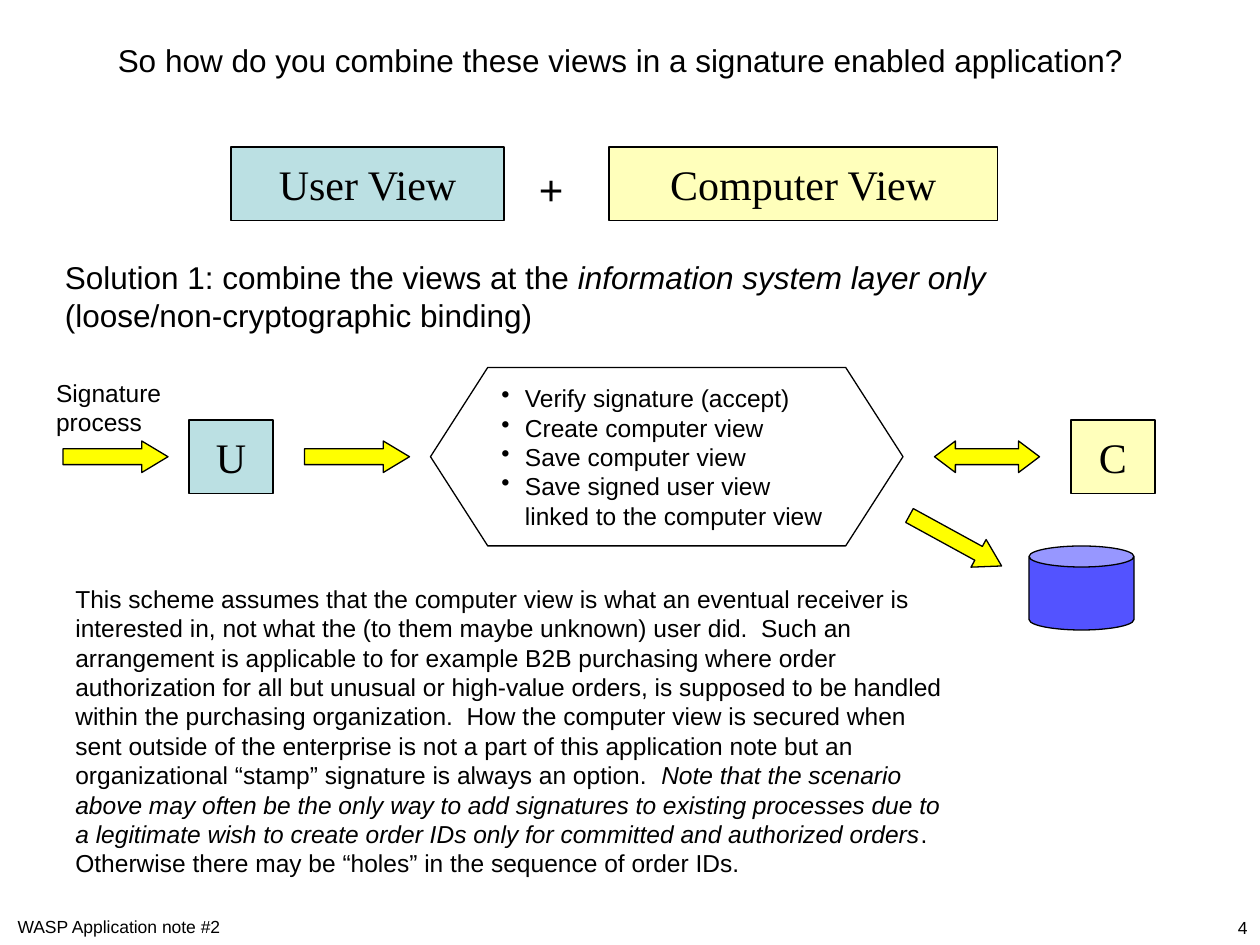
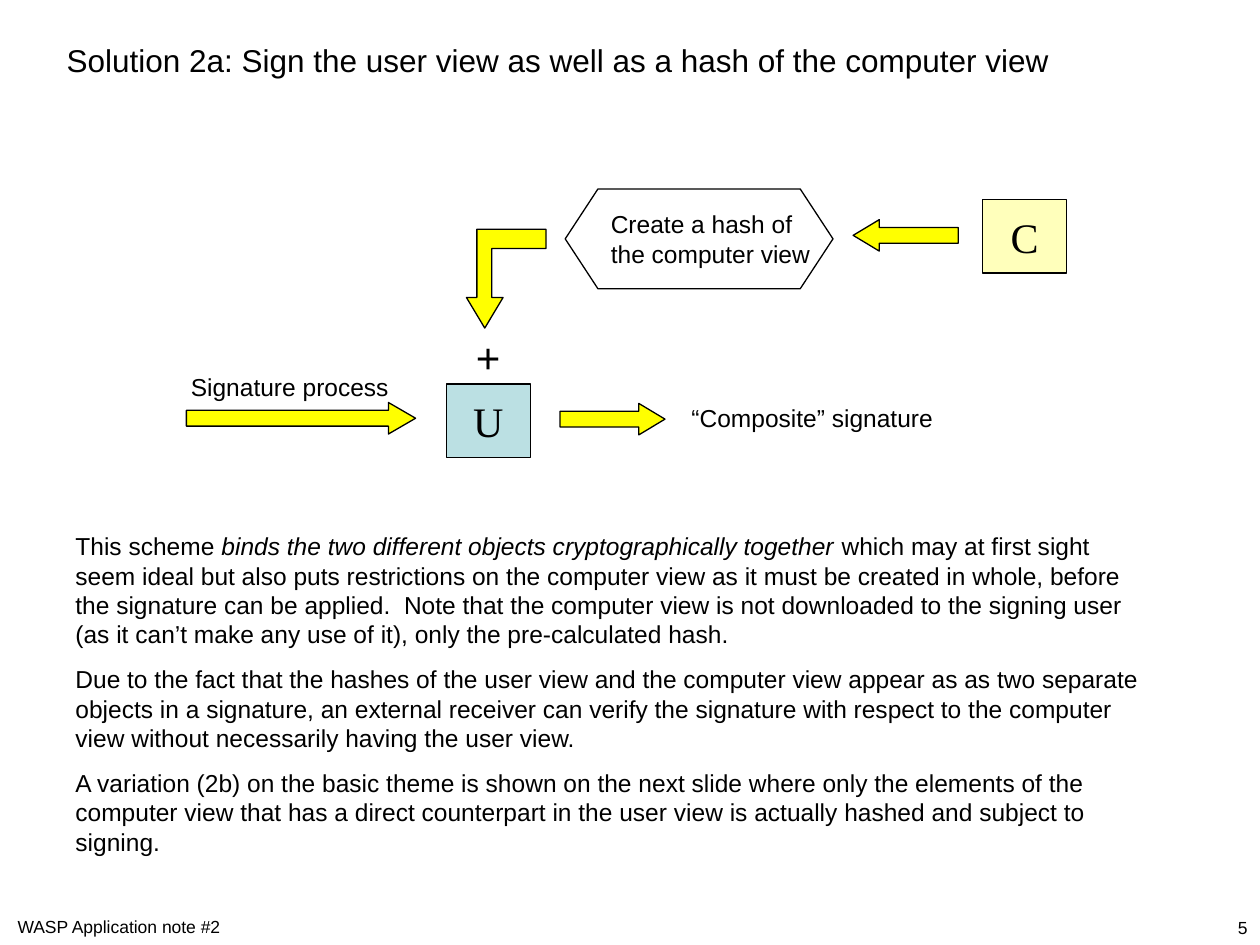
"""Build two slides on combining user and computer views in signatures."""
from dataclasses import dataclass

from lxml import etree
from pptx import Presentation
from pptx.dml.color import RGBColor
from pptx.enum.shapes import MSO_SHAPE
from pptx.enum.text import MSO_ANCHOR, MSO_AUTO_SIZE, PP_ALIGN
from pptx.oxml.ns import qn
from pptx.util import Pt

LEFT, CENTER, RIGHT = PP_ALIGN.LEFT, PP_ALIGN.CENTER, PP_ALIGN.RIGHT
MIDDLE = MSO_ANCHOR.MIDDLE
GROW, FIXED = MSO_AUTO_SIZE.SHAPE_TO_FIT_TEXT, MSO_AUTO_SIZE.NONE
RECTANGLE, HEXAGON, CAN = MSO_SHAPE.RECTANGLE, MSO_SHAPE.HEXAGON, MSO_SHAPE.CAN
RIGHT_ARROW, LEFT_ARROW = MSO_SHAPE.RIGHT_ARROW, MSO_SHAPE.LEFT_ARROW
TWO_WAY_ARROW = MSO_SHAPE.LEFT_RIGHT_ARROW
BLANK_LAYOUT = 6
FOOTER = "WASP Application note #2"


@dataclass(frozen=True)
class Theme:
    """Hold the colours, fonts and type sizes of the deck."""

    ink: RGBColor = RGBColor.from_string("000000")
    user: RGBColor = RGBColor.from_string("BBE0E3")
    computer: RGBColor = RGBColor.from_string("FFFFBB")
    arrow: RGBColor = RGBColor.from_string("FFFF00")
    storage: RGBColor = RGBColor.from_string("5353FF")
    sans: str = "Arial"
    serif: str = "Times New Roman"
    footer: int = 10
    body: int = 14
    title: int = 18
    view: int = 24
    outline: float = 0.75


THEME = Theme()


def apply_format(target, values):
    """Set each named attribute of the target."""
    for name, value in values.items():
        setattr(target, name, value)


def write_text(frame, texts, size, align=LEFT, font=THEME.sans, space=0):
    """Fill a frame with paragraphs; asterisks enclose italic runs."""
    for index, text in enumerate(texts):
        paragraph = frame.add_paragraph() if index else frame.paragraphs[0]
        apply_format(paragraph, {"alignment": align, "space_before": Pt(space)})
        for part_index, part in enumerate(text.split("*")):
            for line_index, line in enumerate(part.split("\n")):
                if line_index:
                    paragraph.add_line_break()
                run = paragraph.add_run()
                apply_format(run.font, {"name": font, "size": Pt(size),
                                        "italic": part_index % 2 == 1})
                run.font.color.rgb = THEME.ink
                run.text = line


def add_text(slide, box, *texts, size=THEME.body, align=LEFT):
    """Add a wrapping text box with spacing in proportion to its type."""
    frame = slide.shapes.add_textbox(*map(Pt, box)).text_frame
    apply_format(frame, {"word_wrap": True, "auto_size": GROW})
    write_text(frame, texts, size, align, space=round(size * 0.625, 1))


def style_shape(shape, fill=None):
    """Give a shape its fill and thin outline, without a shadow."""
    shape.shadow.inherit = False
    if fill is None:
        shape.fill.background()
    else:
        shape.fill.solid()
        shape.fill.fore_color.rgb = fill
    shape.line.color.rgb = THEME.ink
    shape.line.width = Pt(THEME.outline)


def add_figure(slide, kind, box, fill=None):
    """Add a styled preset shape whose text does not wrap."""
    shape = slide.shapes.add_shape(kind, *map(Pt, box))
    style_shape(shape, fill)
    apply_format(shape.text_frame, {"word_wrap": False, "auto_size": FIXED,
                                    "vertical_anchor": MIDDLE})
    return shape


def add_view(slide, left, top, label, fill, width=48):
    """Add a labelled box for a user or computer view."""
    shape = add_figure(slide, RECTANGLE, (left, top, width, 42), fill)
    write_text(shape.text_frame, [label], THEME.view, CENTER, THEME.serif)


def add_arrow(slide, left, top, width=60, kind=RIGHT_ARROW, head=0.833, rotation=0):
    """Add a yellow block arrow."""
    shape = add_figure(slide, kind, (left, top, width, 18), THEME.arrow)
    shape.adjustments[1] = head
    shape.rotation = rotation


def add_elbow_arrow(slide, points):
    """Add a yellow block arrow that turns a corner."""
    corners = [(Pt(x), Pt(y)) for x, y in points]
    builder = slide.shapes.build_freeform(*corners[0])
    builder.add_line_segments(corners[1:], close=True)
    style_shape(builder.convert_to_shape(), THEME.arrow)


def add_bullets(frame):
    """Give every paragraph of the frame a hanging round bullet."""
    for paragraph in frame.paragraphs:
        properties = paragraph._p.get_or_add_pPr()
        properties.set("marL", str(Pt(13.5)))
        properties.set("indent", str(-Pt(13.5)))
        etree.SubElement(properties, qn("a:buChar")).set("char", "•")


def add_process(slide, box, slant, *steps):
    """Add a hexagon that lists process steps and return its text frame."""
    shape = add_figure(slide, HEXAGON, box)
    shape.adjustments[0] = slant
    write_text(shape.text_frame, steps, THEME.body)
    return shape.text_frame


def add_plus(slide, left, top):
    """Add a plus sign between two views."""
    add_text(slide, (left, top, 42, 36), "+", size=THEME.view, align=CENTER)


def add_page(presentation, number, title, left, align):
    """Add a blank slide with its footer, number and title."""
    slide = presentation.slides.add_slide(presentation.slide_layouts[BLANK_LAYOUT])
    add_text(slide, (3, 520, 244, 19), FOOTER, size=THEME.footer)
    add_text(slide, (476, 520.5, 244, 19), str(number), size=THEME.footer, align=RIGHT)
    add_text(slide, (left, 20, 2 * (354.5 - left) if align == CENTER else 630, 29),
             title, size=THEME.title, align=align)
    return slide


def build_loose_binding(presentation):
    """Build the slide on combining views in the information system."""
    slide = add_page(presentation, 4, "So how do you combine these views in a "
                     "signature enabled application?", 42.5, CENTER)
    add_text(slide, (30, 144, 630, 50),
             "Solution 1: combine the views at the *information system layer only* "
             "(loose/non-cryptographic binding)", size=THEME.title)
    add_view(slide, 132, 84, "User View", THEME.user, 156)
    add_view(slide, 348, 84, "Computer View", THEME.computer, 222)
    add_plus(slide, 294, 90)
    add_view(slide, 108, 240, "U", THEME.user)
    add_view(slide, 612, 240, "C", THEME.computer)
    add_arrow(slide, 36, 252)
    add_arrow(slide, 174, 252)
    add_arrow(slide, 534, 252, kind=TWO_WAY_ARROW, head=0.664)
    add_arrow(slide, 516, 300, rotation=28.7)
    add_figure(slide, CAN, (588, 312, 60, 48), THEME.storage)
    steps = add_process(slide, (246, 210, 270, 102), 0.321,
                        "Verify signature (accept)", "Create computer view",
                        "Save computer view",
                        "Save signed user view\nlinked to the computer view")
    add_bullets(steps)
    add_text(slide, (25, 212.5, 80, 41), "Signature\nprocess")
    add_text(slide, (36, 330, 510, 176),
             "This scheme assumes that the computer view is what an eventual receiver "
             "is interested in, not what the (to them maybe unknown) user did.  Such an "
             "arrangement is applicable to for example B2B purchasing where order "
             "authorization for all but unusual or high-value orders, is supposed to be "
             "handled within the purchasing organization.  How the computer view is "
             "secured when sent outside of the enterprise is not a part of this "
             "application note but an organizational “stamp” signature is always an "
             "option.  *Note that the scenario above may often be the only way to add "
             "signatures to existing processes due to a legitimate wish to create order "
             "IDs only for committed and authorized orders*.  Otherwise there may be "
             "“holes” in the sequence of order IDs.")


def build_hash_binding(presentation):
    """Build the slide on signing a hash of the computer view."""
    slide = add_page(presentation, 5, "Solution 2a: Sign the user view as well as a "
                     "hash of the computer view", 31, LEFT)
    add_view(slide, 255, 219.5, "U", THEME.user)
    add_view(slide, 561.5, 114, "C", THEME.computer)
    add_arrow(slide, 106.5, 230, 131, head=0.861)
    add_arrow(slide, 320, 230.5)
    add_arrow(slide, 487.5, 125.5, kind=LEFT_ARROW)
    add_process(slide, (323, 108, 153, 57), 0.328,
                "Create a hash of", "the computer view")
    add_elbow_arrow(slide, [(312, 142), (281, 142), (281, 170), (287.5, 170),
                            (277, 187.5), (266.5, 170), (272.5, 170),
                            (272.5, 131), (312, 131)])
    add_plus(slide, 258, 186)
    add_text(slide, (102, 209, 136, 24), "Signature process")
    add_text(slide, (388, 227, 181.5, 24), "“Composite” signature")
    add_text(slide, (36, 300, 630, 193),
             "This scheme *binds the two different objects cryptographically together* "
             "which may at first sight seem ideal but also puts restrictions on the "
             "computer view as it must be created in whole, before the signature can be "
             "applied.  Note that the computer view is not downloaded to the signing "
             "user (as it can’t make any use of it), only the pre-calculated hash.",
             "Due to the fact that the hashes of the user view and the computer view "
             "appear as as two separate objects in a signature, an external receiver "
             "can verify the signature with respect to the computer view without "
             "necessarily having the user view.",
             "A variation (2b) on the basic theme is shown on the next slide where only "
             "the elements of the computer view that has a direct counterpart in the "
             "user view is actually hashed and subject to signing.")


def main():
    """Build and save the presentation."""
    presentation = Presentation()
    apply_format(presentation, {"slide_width": Pt(720), "slide_height": Pt(540)})
    build_loose_binding(presentation)
    build_hash_binding(presentation)
    presentation.save("out.pptx")


if __name__ == "__main__":
    main()
